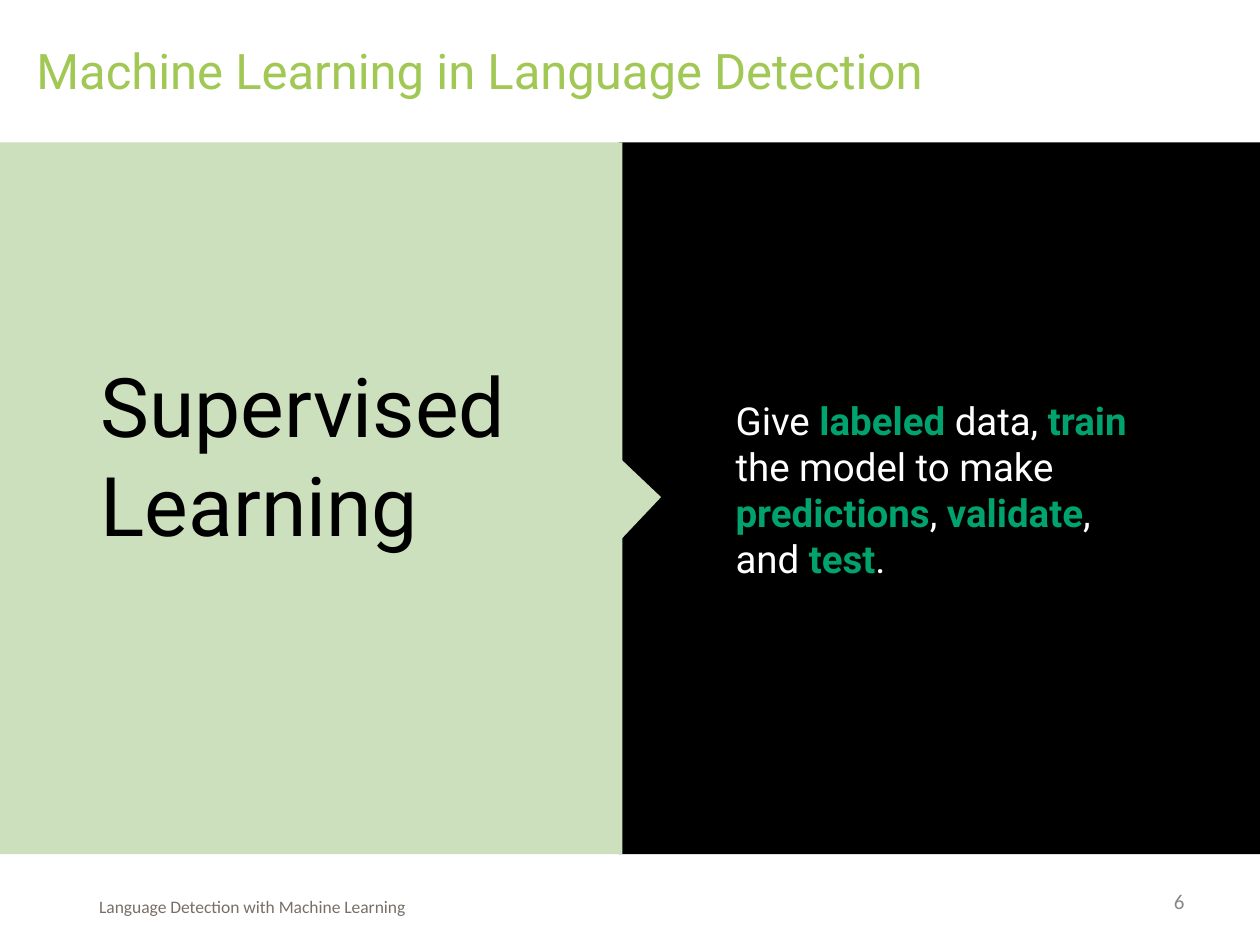
from pptx import Presentation
from pptx.dml.color import RGBColor
from pptx.enum.shapes import MSO_SHAPE as Shape
from pptx.enum.text import MSO_ANCHOR as Anchor, MSO_AUTO_SIZE as AutoSize, PP_ALIGN as Align
from pptx.util import Cm, Pt

BLACK = RGBColor(0x00, 0x00, 0x00)
WHITE = RGBColor(0xFF, 0xFF, 0xFF)
PALE_GREEN = RGBColor(0xCC, 0xE0, 0xBE)
TITLE_GREEN = RGBColor(0xA1, 0xC8, 0x54)
KEYWORD_GREEN = RGBColor(0x00, 0xA2, 0x6D)
FOOTER_BROWN = RGBColor(0x79, 0x6F, 0x65)
NUMBER_GRAY = RGBColor(0x88, 0x88, 0x88)

TITLE_FORMAT = {"name": "Roboto", "size": Pt(28)}
TOPIC_FORMAT = {"name": "Roboto", "size": Pt(47)}
DETAIL_FORMAT = {"name": "Roboto", "size": Pt(22)}
FOOTER_FORMAT = {"name": "Calibri", "size": Pt(10)}
NUMBER_FORMAT = {"name": "Calibri", "size": Pt(12)}

DETAIL_RUNS = [
    ("Give ", False), ("labeled", True), (" data, ", False), ("train", True),
    (" the model to make ", False), ("predictions", True), (", ", False),
    ("validate", True), (", and ", False), ("test", True), (".", False),
]


def write_run(paragraph, text, color, font_format):
    run = paragraph.add_run()
    run.text = text
    for name, value in font_format.items():
        setattr(run.font, name, value)
    run.font.color.rgb = color


def prepare_text(shape, anchor=Anchor.TOP, alignment=Align.LEFT):
    frame = shape.text_frame
    frame_format = {"word_wrap": True, "auto_size": AutoSize.NONE, "vertical_anchor": anchor}
    for name, value in frame_format.items():
        setattr(frame, name, value)
    paragraph = frame.paragraphs[0]
    paragraph.alignment = alignment
    return paragraph


def add_text(slide, left, top, width, height, **layout):
    textbox = slide.shapes.add_textbox(Cm(left), Cm(top), Cm(width), Cm(height))
    return prepare_text(textbox, **layout)


def add_block(slide, kind, color, left, top, width, height):
    shape = slide.shapes.add_shape(kind, Cm(left), Cm(top), Cm(width), Cm(height))
    shape.shadow.inherit = False
    shape.fill.solid()
    shape.fill.fore_color.rgb = color
    shape.line.fill.background()
    return shape


def place_title(slide, left, top, width, height):
    title = slide.shapes.title
    position = {"left": left, "top": top, "width": width, "height": height}
    for name, value in position.items():
        setattr(title, name, Cm(value))
    paragraph = prepare_text(title)
    write_run(paragraph, "Machine Learning in Language Detection", TITLE_GREEN, TITLE_FORMAT)


def add_detail_pane(slide, left, top, width, height):
    add_block(slide, Shape.RECTANGLE, BLACK, left, top, width, height)
    paragraph = add_text(slide, left + 2.11, top + 5, 8.69, 4.34)
    for text, is_keyword in DETAIL_RUNS:
        color = KEYWORD_GREEN if is_keyword else WHITE
        write_run(paragraph, text, color, {**DETAIL_FORMAT, "bold": is_keyword})


def add_topic_pane(slide, left, top, width, height):
    add_block(slide, Shape.RECTANGLE, PALE_GREEN, left, top, width, height)
    pointer = add_block(slide, Shape.FLOWCHART_PROCESS, PALE_GREEN,
                        left + width - 0.66, top + 6.58, 1.19, 1.19)
    pointer.rotation = 43.4
    paragraph = add_text(slide, left + 1.78, top + 4.17, 8.97, 4.95)
    write_run(paragraph, "Supervised Learning", BLACK, TOPIC_FORMAT)


def add_footer(slide, left, top, width):
    paragraph = add_text(slide, left + 1.75, top + 0.71, 6.88, 0.69)
    write_run(paragraph, "Language Detection with Machine Learning", FOOTER_BROWN, FOOTER_FORMAT)
    paragraph = add_text(slide, left + width - 7.19, top + 0.43, 5.92, 1.02,
                         anchor=Anchor.MIDDLE, alignment=Align.RIGHT)
    write_run(paragraph, "6", NUMBER_GRAY, NUMBER_FORMAT)


def main():
    presentation = Presentation()
    presentation.slide_width = Cm(25.4)
    presentation.slide_height = Cm(19.05)
    title_only = presentation.slide_layouts[5]
    slide = presentation.slides.add_slide(title_only)
    place_title(slide, 0.48, 0.69, 20.37, 1.45)
    add_detail_pane(slide, 12.47, 2.87, 12.93, 14.35)
    add_topic_pane(slide, 0, 2.87, 12.55, 14.35)
    add_footer(slide, 0, 17.22, 25.4)
    presentation.save("out.pptx")


if __name__ == "__main__":
    main()
